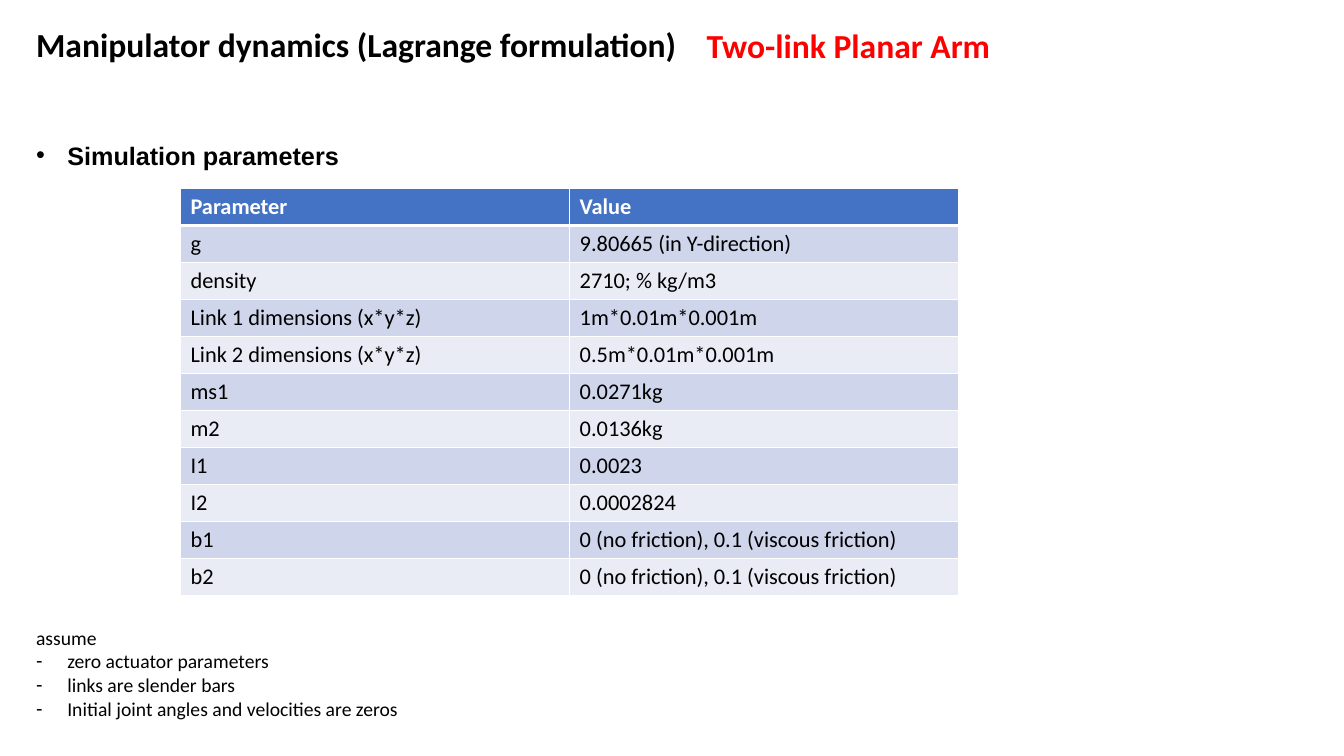
from pptx import Presentation
from pptx.dml.color import RGBColor
from pptx.enum.text import MSO_ANCHOR
from pptx.oxml import parse_xml
from pptx.oxml.ns import nsdecls
from pptx.util import Inches, Pt

ROWS = [
    ("Parameter", "Value"),
    ("g", "9.80665 (in Y-direction)"),
    ("density", "2710; % kg/m3"),
    ("Link 1 dimensions (x*y*z)", "1m*0.01m*0.001m"),
    ("Link 2 dimensions (x*y*z)", "0.5m*0.01m*0.001m"),
    ("ms1", "0.0271kg"),
    ("m2", "0.0136kg"),
    ("I1", "0.0023"),
    ("I2", "0.0002824"),
    ("b1", "0 (no friction), 0.1 (viscous friction)"),
    ("b2", "0 (no friction), 0.1 (viscous friction)"),
]
NOTES = [
    "assume",
    "zero actuator parameters",
    "links are slender bars",
    "Initial joint angles and velocities are zeros",
]


def paint(color, code):
    color.rgb = RGBColor.from_string(code)


def style(para, size, code="000000", bold=False, face="Calibri"):
    for run in para.runs:
        run.font.size = Pt(size)
        run.font.name = face
        run.font.bold = bold
        paint(run.font.color, code)


def add_text(slide, box, lines):
    shape = slide.shapes.add_textbox(*[Inches(n) for n in box])
    frame = shape.text_frame
    frame.word_wrap = True
    frame.text = "\n".join(lines)
    return frame


def add_title(slide, box, text, code):
    frame = add_text(slide, box, [text])
    frame.vertical_anchor = MSO_ANCHOR.MIDDLE
    para = frame.paragraphs[0]
    para.line_spacing = 0.9
    style(para, 24, code, True)


def add_bullet(para, mark):
    props = para._p.get_or_add_pPr()
    props.set("marL", str(Inches(0.31)))
    props.set("indent", str(-Inches(0.31)))
    props.append(parse_xml(f'<a:buFont {nsdecls("a")} typeface="Arial"/>'))
    props.append(parse_xml(f'<a:buChar {nsdecls("a")} char="{mark}"/>'))


def add_edge(cell, side, width):
    cell._tc.get_or_add_tcPr().append(parse_xml(
        f'<a:ln{side} {nsdecls("a")} w="{Pt(width)}"><a:solidFill>'
        f'<a:srgbClr val="FFFFFF"/></a:solidFill></a:ln{side}>'))


def fill_cell(cell, text, row):
    head = row == 0
    cell.text = text
    style(cell.text_frame.paragraphs[0], 16,
          "FFFFFF" if head else "000000", head)
    for side in "LRTB":
        thick = (side == "B" and row == 0) or (side == "T" and row == 1)
        add_edge(cell, side, 3 if thick else 1)
    cell.fill.solid()
    band = "CFD5EA" if row % 2 else "E9EBF5"
    paint(cell.fill.fore_color, "4472C4" if head else band)


def add_params(slide):
    box = [Inches(n) for n in (1.79, 1.87, 7.72, 4.03)]
    table = slide.shapes.add_table(len(ROWS), 2, *box).table
    for row, pair in enumerate(ROWS):
        for col, text in enumerate(pair):
            fill_cell(table.cell(row, col), text, row)


def add_notes(slide):
    frame = add_text(slide, (0.26, 6.16, 6.67, 1.04), NOTES)
    for para in frame.paragraphs:
        style(para, 14)
    for para in frame.paragraphs[1:]:
        add_bullet(para, "-")


def main():
    deck = Presentation()
    deck.slide_width = Inches(13.33)
    deck.slide_height = Inches(7.5)
    slide = deck.slides.add_slide(deck.slide_layouts[6])
    add_title(slide, (0.26, 0.16, 11.5, 0.61),
              "Manipulator dynamics (Lagrange formulation)", "000000")
    frame = add_text(slide, (0.26, 1.34, 6.74, 0.4), ["Simulation parameters"])
    style(frame.paragraphs[0], 18, bold=True, face="Arial")
    add_bullet(frame.paragraphs[0], "\u2022")
    add_title(slide, (6.91, 0.19, 4.52, 0.57), "Two-link Planar Arm", "FF0000")
    add_params(slide)
    add_notes(slide)
    deck.save("out.pptx")


main()
